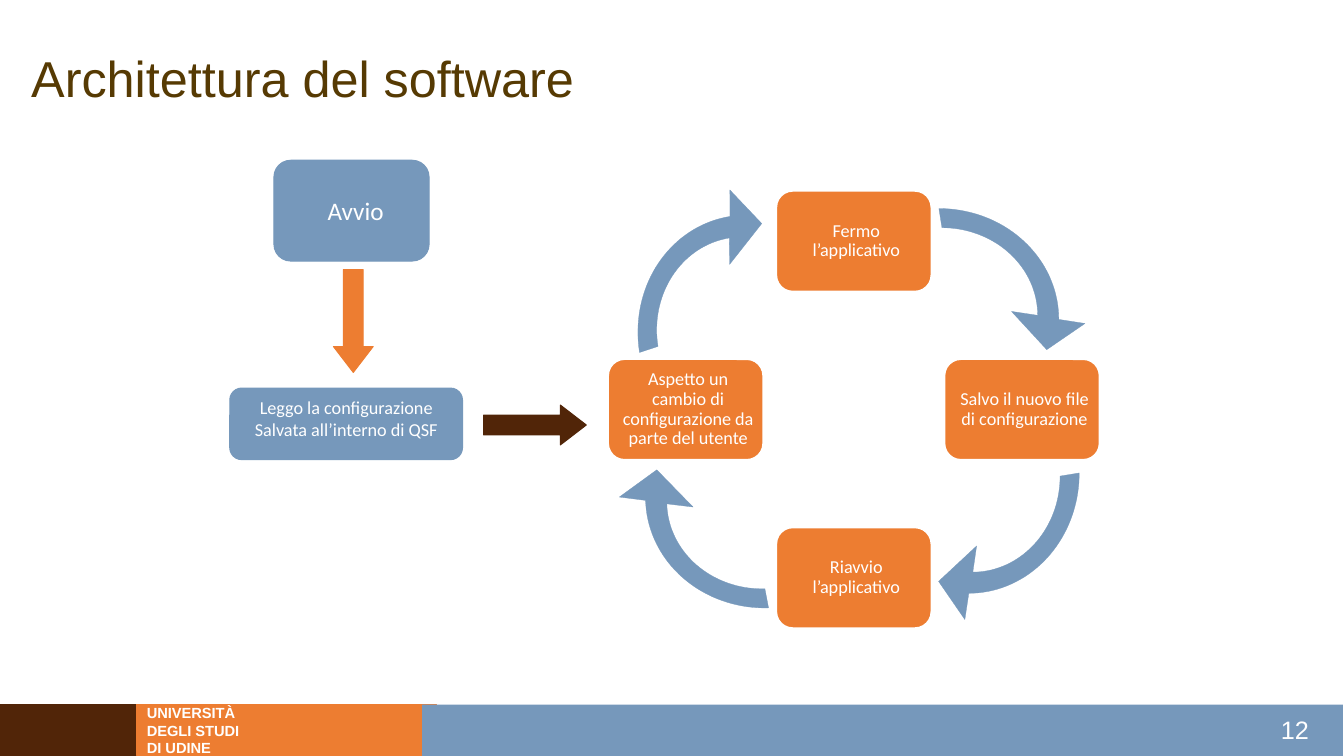
from math import cos, pi, radians, sin

from pptx import Presentation
from pptx.dml.color import RGBColor
from pptx.enum.shapes import MSO_SHAPE
from pptx.enum.text import MSO_ANCHOR, PP_ALIGN
from pptx.util import Pt

RECT, ROUND = MSO_SHAPE.RECTANGLE, MSO_SHAPE.ROUNDED_RECTANGLE
RIGHT, DOWN = MSO_SHAPE.RIGHT_ARROW, MSO_SHAPE.DOWN_ARROW
TOP, MIDDLE = MSO_ANCHOR.TOP, MSO_ANCHOR.MIDDLE
START, CENTER, END = PP_ALIGN.LEFT, PP_ALIGN.CENTER, PP_ALIGN.RIGHT

BLUE, ORANGE, BROWN = "7698BB", "ED7D31", "512508"
WHITE, TITLE = "FFFFFF", "563A03"
INSET = (7.2, 3.6, 7.2, 3.6)

HEADING = "Architettura del software"
SCHOOL = ["UNIVERSITÀ", "DEGLI STUDI", "DI UDINE"]
PAGE = "12"
START_UP = ["Avvio"]
READ = ["Leggo la configurazione", "Salvata all’interno di QSF"]
# Clockwise from the top
STEPS = [
    "Fermo l’applicativo",
    "Salvo il nuovo file di configurazione",
    "Riavvio l’applicativo",
    "Aspetto un cambio di configurazione da parte del utente",
]
HUB_X, HUB_Y, RADIUS = 610.2, 292.5, 120.2
STEP_W, STEP_H = 111.6, 72.7

# Centre x, centre y and turn in degrees of each curved arrow
BENDS = [
    (718.9, 198.7, 0),
    (721.8, 385.9, 89.8),
    (500, 385.9, 178.4),
    (498.6, 196.6, 260.9),
]
# Quarter ellipses as centre x, centre y, radius x, radius y
INNER = (-45.7, 26.6, 68.4, 62.6)
OUTER = (-47.9, 29.5, 85.7, 79.2)
HEAD = [(56.5, 32.4), (29.2, 51.1), (4, 23.8)]
ARC_STEPS = 36


def color(code):
    return RGBColor.from_string(code)


def paint(shape, fill, line=None, width=0.75):
    shape.shadow.inherit = False
    shape.fill.solid()
    shape.fill.fore_color.rgb = color(fill)
    if line:
        shape.line.color.rgb = color(line)
        shape.line.width = Pt(width)
    else:
        shape.line.fill.background()


def write(shape, lines, size, font="Calibri", ink=WHITE, align=CENTER,
          anchor=MIDDLE, inset=INSET, bold=False):
    frame = shape.text_frame
    frame.word_wrap = True
    frame.vertical_anchor = anchor
    (frame.margin_left, frame.margin_top,
     frame.margin_right, frame.margin_bottom) = map(Pt, inset)
    frame.text = "\n".join(lines)
    for para in frame.paragraphs:
        para.alignment = align
        para.font.size = Pt(size)
        para.font.name = font
        para.font.bold = bold
        para.font.color.rgb = color(ink)


def add(slide, kind, box, fill, line=None, width=0.75):
    shape = slide.shapes.add_shape(kind, *map(Pt, box))
    paint(shape, fill, line, width)
    return shape


def add_arrow(slide, kind, box, fill):
    shape = add(slide, kind, box, fill, fill)
    shape.adjustments[0] = 0.5
    shape.adjustments[1] = 0.65


def arc(x, y, rx, ry):
    """Points of a quarter ellipse, from its top to its right end."""
    turns = [pi / 2 * i / ARC_STEPS for i in range(ARC_STEPS + 1)]
    return [(x + rx * sin(t), y - ry * cos(t)) for t in turns]


def add_bend(slide, x, y, turn):
    c, s = cos(radians(turn)), sin(radians(turn))
    outline = arc(*OUTER) + HEAD + arc(*INNER)[::-1]
    points = [(Pt(x + px * c - py * s), Pt(y + px * s + py * c))
              for px, py in outline]
    build = slide.shapes.build_freeform(*points[0])
    build.add_line_segments(points[1:], close=True)
    paint(build.convert_to_shape(), BLUE, BLUE, 0.2)


def add_footer(slide):
    add(slide, RECT, (0, 503.3, 97.9, 36.7), BROWN, BROWN)
    school = add(slide, RECT, (97.9, 503.3, 213.8, 36.7), ORANGE, ORANGE)
    write(school, SCHOOL, 10.5, "Arial", align=START, bold=True)
    add(slide, RECT, (301.7, 503.3, 658.1, 36.7), BLUE)
    page = slide.shapes.add_textbox(*map(Pt, (895, 506.9, 47.5, 28.8)))
    write(page, [PAGE], 18, "Arial", align=END, anchor=TOP)


def add_cycle(slide):
    for i, step in enumerate(STEPS):
        turn = i * pi / 2
        x = HUB_X + RADIUS * sin(turn) - STEP_W / 2
        y = HUB_Y - RADIUS * cos(turn) - STEP_H / 2
        card = add(slide, ROUND, (x, y, STEP_W, STEP_H), ORANGE, WHITE, 2)
        write(card, [step], 13, inset=(7.2, 7.2, 3.6, 7.2))
        para = card.text_frame.paragraphs[0]
        para.line_spacing = 0.9
        para.space_after = Pt(4.6)
    for bend in BENDS:
        add_bend(slide, *bend)


def add_intro(slide):
    first = add(slide, ROUND, (195.8, 114.5, 110.9, 72), BLUE, BLUE)
    write(first, START_UP, 18, inset=(13, 3.6, 7.2, 3.6))
    read = add(slide, ROUND, (164.2, 277.2, 166.3, 51.1), BLUE, BLUE)
    write(read, READ, 13, anchor=TOP)
    add_arrow(slide, DOWN, (238.3, 192.6, 28.4, 73.4), ORANGE)
    add_arrow(slide, RIGHT, (345.6, 289.4, 73.4, 28.4), BROWN)


def main():
    deck = Presentation()
    deck.slide_width, deck.slide_height = Pt(960.48), Pt(540)
    slide = deck.slides.add_slide(deck.slide_layouts[5])
    title = slide.shapes.title
    title.left, title.top, title.width, title.height = map(
        Pt, (15.1, 30.2, 674.6, 50.4))
    write(title, [HEADING], 36, "Arial", TITLE, START)
    add_footer(slide)
    add_cycle(slide)
    add_intro(slide)
    deck.save("out.pptx")


if __name__ == "__main__":
    main()
